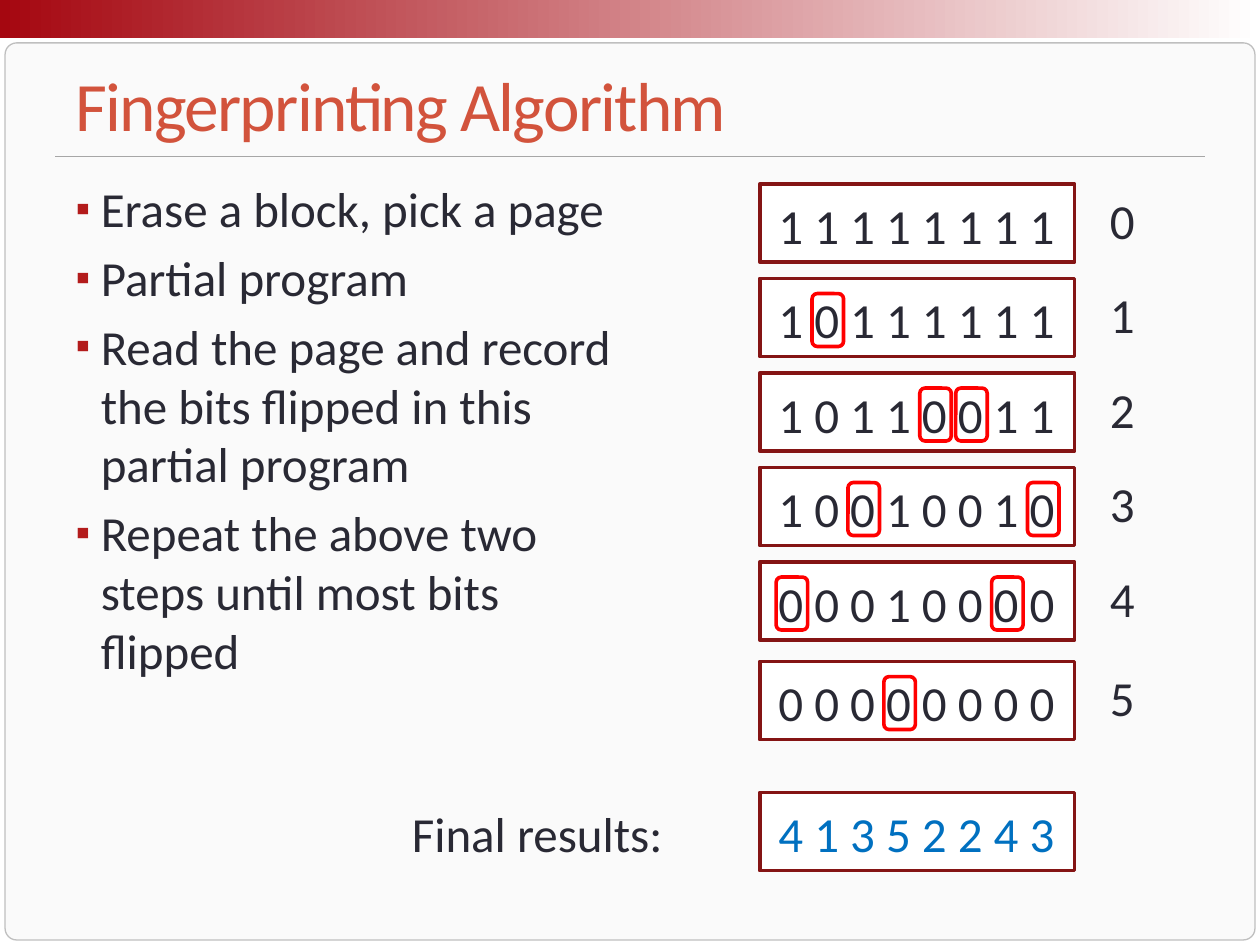
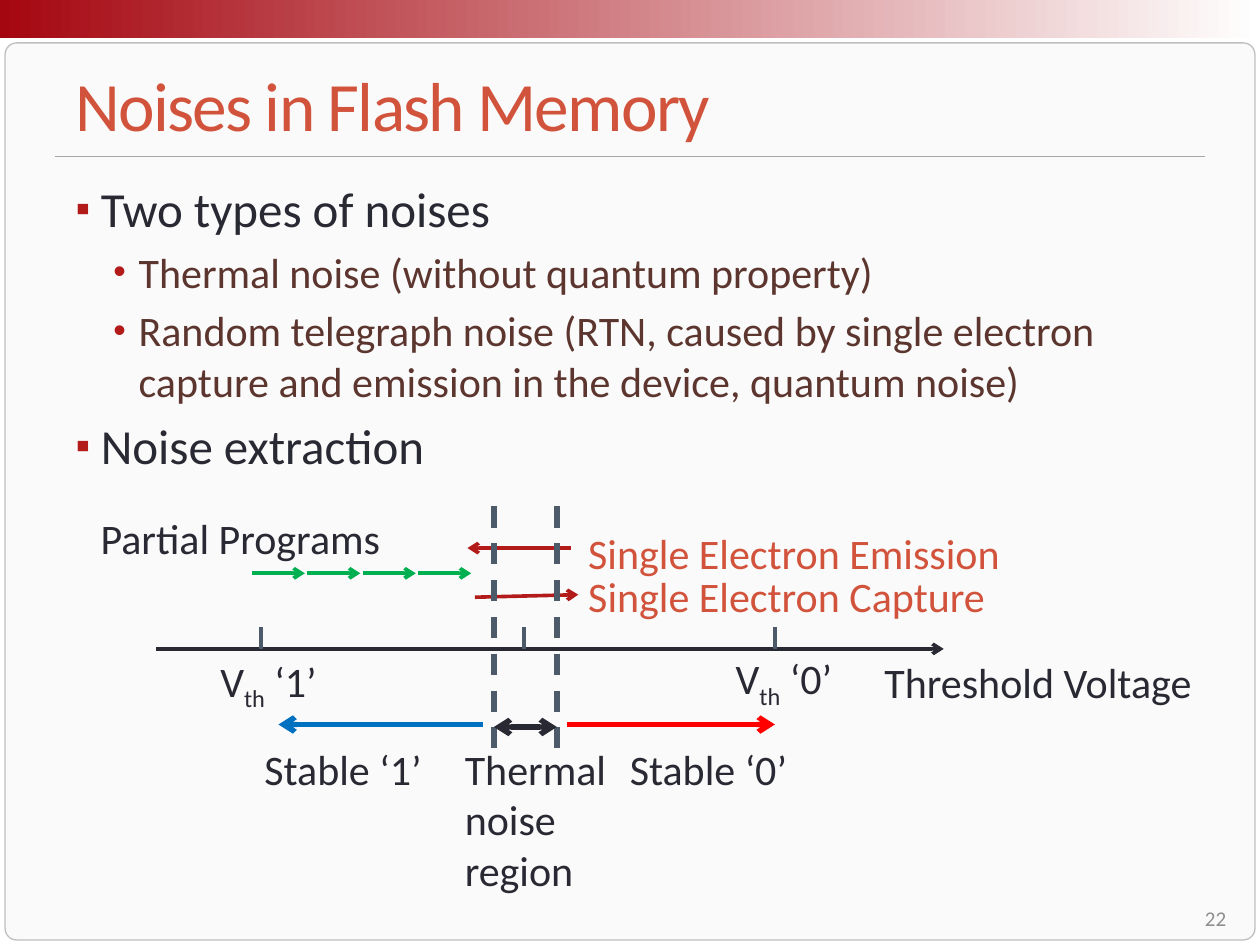
from lxml.etree import SubElement
from pptx import Presentation
from pptx.dml.color import RGBColor
from pptx.enum.dml import MSO_LINE_DASH_STYLE as Dash
from pptx.enum.shapes import MSO_CONNECTOR, MSO_SHAPE as Shape
from pptx.enum.text import MSO_ANCHOR as Anchor, MSO_AUTO_SIZE as AutoSize, PP_ALIGN as Align
from pptx.oxml.ns import qn
from pptx.util import Emu, Inches, Pt

FONT = "Calibri"
INK = RGBColor(0x29, 0x29, 0x34)
BROWN = RGBColor(0x5B, 0x35, 0x2E)
ORANGE = RGBColor(0xD2, 0x53, 0x3C)
CRIMSON = RGBColor(0xB3, 0x1B, 0x1B)
BAND_RED = RGBColor(0xA5, 0x07, 0x10)
MAROON = RGBColor(0x84, 0x14, 0x14)
RED = RGBColor(0xFF, 0x00, 0x00)
GREEN = RGBColor(0x00, 0xB0, 0x50)
BLUE = RGBColor(0x00, 0x70, 0xC0)
SLATE = RGBColor(0x4C, 0x5A, 0x6A)
WHITE = RGBColor(0xFF, 0xFF, 0xFF)
PAPER = RGBColor(0xFA, 0xFA, 0xFA)
EDGE = RGBColor(0xBF, 0xBF, 0xBF)
RULE = RGBColor(0xA6, 0xA6, 0xA6)
PAGE_GRAY = RGBColor(0x8E, 0x8E, 0x90)

THIN, MEDIUM, THICK = 0.75, 2.08, 3
# Bullet sign, left margin, text size and colour of each list level
LEVELS = [("▪", 0.2, 28, INK), ("•", 0.5, 24, BROWN)]

# The step at which each bit of the page flips from 1 to 0
FLIP_STEPS = [4, 1, 3, 5, 2, 2, 4, 3]
ROW_LEFT, ROW_WIDTH, ROW_HEIGHT = 6.03, 2.5, 0.62
STEP_TOPS = [1.46 + 0.75 * step for step in range(5)] + [5.25]
RESULT_TOP = 6.29
BIT_PITCH = 0.285

AXIS_Y = 5.15
STABLE_Y = 5.75
NOISE_LEFT, NOISE_RIGHT = 3.92, 4.42


def place(shape, left, top, width, height):
    shape.left, shape.top = Inches(left), Inches(top)
    shape.width, shape.height = Inches(width), Inches(height)


def style_text(para, size, color):
    font = para.font
    font.name, font.size, font.color.rgb = FONT, Pt(size), color


def add_box(page, kind, area, fill=None, line=None, weight=MEDIUM):
    box = page.shapes.add_shape(kind, *map(Inches, area))
    box.shadow.inherit = False
    if fill is None:
        box.fill.background()
    else:
        box.fill.solid()
        box.fill.fore_color.rgb = fill
    if line is None:
        box.line.fill.background()
    else:
        box.line.color.rgb, box.line.width = line, Pt(weight)
    return box


def add_label(page, text, area, size=24, color=INK):
    box = page.shapes.add_textbox(*map(Inches, area))
    box.text_frame.word_wrap = True
    para = box.text_frame.paragraphs[0]
    para.text = text
    style_text(para, size, color)
    return box


def add_line(page, start, end, color, weight=MEDIUM, arrows=(), dash=None):
    """Draw a straight line; arrows names the ends (headEnd, tailEnd) that get a head."""
    line = page.shapes.add_connector(MSO_CONNECTOR.STRAIGHT, *map(Inches, (*start, *end)))
    line.line.color.rgb, line.line.width = color, Pt(weight)
    if dash:
        line.line.dash_style = dash
    properties = line._element.spPr
    for arrow in arrows:
        SubElement(properties.find(qn("a:ln")), qn(f"a:{arrow}"), type="arrow")
    SubElement(properties, qn("a:effectLst"))
    return line


def move_frame_to_master(deck, page):
    """Draw the panel, the band and the title rule once, behind every slide."""
    panel = add_box(page, Shape.ROUNDED_RECTANGLE, (0.04, 0.34, 9.92, 7.12), PAPER, EDGE, THIN)
    panel.adjustments[0] = 0.013
    band = add_box(page, Shape.RECTANGLE, (0, 0, 10, 0.3))
    band.fill.gradient()
    band.fill.gradient_angle = 0
    for stop, color in zip(band.fill.gradient_stops, (BAND_RED, WHITE)):
        stop.color.rgb = color
    rule = add_line(page, (0.44, 1.24), (9.56, 1.24), RULE, THIN)
    tree = deck.slide_master.shapes._spTree
    for position, shape in enumerate((panel, band, rule)):
        shape._element.xpath(".//p:cNvPr")[0].set("id", str(100 + position))
        tree.insert(2 + position, shape._element)


def set_title(page, text):
    title = page.shapes.title
    place(title, 0.5, 0.42, 9, 0.8)
    frame = title.text_frame
    frame.text = text
    frame.vertical_anchor, frame.auto_size = Anchor.MIDDLE, AutoSize.NONE
    para = frame.paragraphs[0]
    para.alignment = Align.LEFT
    style_text(para, 39.6, ORANGE)
    para.runs[0].font._element.set("spc", "-100")


def add_bullet(para, sign, margin):
    properties = para._p.get_or_add_pPr()
    properties.set("marL", str(Inches(margin)))
    properties.set("indent", str(-Inches(0.2)))
    color = SubElement(properties, qn("a:buClr"))
    SubElement(color, qn("a:srgbClr"), val=str(CRIMSON))
    SubElement(properties, qn("a:buSzPct"), val="85000")
    SubElement(properties, qn("a:buFont"), typeface="Arial")
    SubElement(properties, qn("a:buChar"), char=sign)


def set_list(page, items, width):
    """Fill the body placeholder with (level, text) items."""
    body = page.placeholders[1]
    place(body, 0.5, 1.37, width, 5.71)
    frame = body.text_frame
    frame.auto_size = AutoSize.NONE
    for number, (level, text) in enumerate(items):
        para = frame.add_paragraph() if number else frame.paragraphs[0]
        sign, margin, size, color = LEVELS[level]
        para.text, para.level = text, level
        add_bullet(para, sign, margin)
        para.space_before = Pt(0.2 * size if number else 0)
        style_text(para, size, color)


def add_bit_row(page, values, top, color=INK):
    add_box(page, Shape.RECTANGLE, (ROW_LEFT, top, ROW_WIDTH, ROW_HEIGHT), WHITE, MAROON)
    add_label(page, " ".join(map(str, values)), (ROW_LEFT + 0.05, top + 0.04, 2.42, 0.57), 28, color)


def add_step(page, step, top):
    """Show the page after a partial program, with the newly flipped bits marked."""
    add_bit_row(page, [int(flip > step) for flip in FLIP_STEPS], top)
    add_label(page, str(step), (8.71, top, 0.79, 0.57), 28)
    for column, flip in enumerate(FLIP_STEPS):
        if flip == step:
            left = ROW_LEFT + 0.13 + BIT_PITCH * column
            add_box(page, Shape.ROUNDED_RECTANGLE, (left, top + 0.12, 0.25, 0.42), line=RED)


def add_threshold(page, left, top, value):
    box = add_label(page, "V", (left, top, 1, 0.5))
    para = box.text_frame.paragraphs[0]
    for text in ("th", f" ‘{value}’"):
        para.add_run().text = text
    para.runs[1].font._element.set("baseline", "-25000")


def fill_fingerprinting(page):
    set_title(page, "Fingerprinting Algorithm")
    set_list(page, [
        (0, "Erase a block, pick a page"),
        (0, "Partial program"),
        (0, "Read the page and record the bits flipped in this partial program"),
        (0, "Repeat the above two steps until most bits flipped"),
    ], 4.58)
    for step, top in enumerate(STEP_TOPS):
        add_step(page, step, top)
    add_bit_row(page, FLIP_STEPS, RESULT_TOP, BLUE)
    add_label(page, "Final results:", (3.17, RESULT_TOP + 0.04, 2.42, 0.57), 28)


def draw_noise_diagram(page):
    forward, both = ("tailEnd",), ("headEnd", "tailEnd")
    add_line(page, (1.24, AXIS_Y), (7.49, AXIS_Y), INK, arrows=forward)
    for x in (2.07, 4.16, 6.15):
        add_line(page, (x, AXIS_Y), (x, AXIS_Y - 0.17), SLATE)
    for program in range(4):
        left = 2 + 0.44 * program
        add_line(page, (left, 4.55), (left + 0.42, 4.55), GREEN, arrows=forward)
    add_line(page, (4.53, 4.35), (3.71, 4.35), CRIMSON, arrows=forward)
    add_line(page, (3.77, 4.74), (4.59, 4.72), CRIMSON, arrows=forward)
    for x in (NOISE_LEFT, NOISE_RIGHT):
        add_line(page, (x, 4.02), (x, 5.94), SLATE, THICK, dash=Dash.DASH)
    add_line(page, (3.83, STABLE_Y), (2.21, STABLE_Y), BLUE, THICK, forward)
    add_line(page, (4.5, STABLE_Y), (6.15, STABLE_Y), RED, THICK, forward)
    add_line(page, (NOISE_LEFT, 5.77), (NOISE_RIGHT, 5.77), INK, THICK, both)

    add_threshold(page, 1.65, 5.15, 1)
    add_threshold(page, 5.74, 5.13, 0)
    add_label(page, "Single Electron Emission", (4.57, 4.14, 4.04, 0.5), color=ORANGE)
    add_label(page, "Single Electron Capture", (4.57, 4.48, 4.51, 0.5), color=ORANGE)
    add_label(page, "Threshold Voltage", (6.92, 5.16, 2.91, 0.5))
    add_label(page, "Partial Programs", (0.7, 4.02, 2.64, 0.5))
    add_label(page, "Stable ‘1’", (2, 5.85, 1.68, 0.5))
    add_label(page, "Stable ‘0’", (4.9, 5.85, 1.68, 0.5))
    add_label(page, "Thermal noise region", (3.59, 5.85, 1.49, 1.31))


def fill_noises(page):
    set_title(page, "Noises in Flash Memory")
    set_list(page, [
        (0, "Two types of noises"),
        (1, "Thermal noise (without quantum property)"),
        (1, "Random telegraph noise (RTN, caused by single electron capture and "
            "emission in the device, quantum noise)"),
        (0, "Noise extraction"),
    ], 9)
    draw_noise_diagram(page)
    number = add_label(page, "22", (7.5, 7.17, 2.33, 0.23), 12, PAGE_GRAY)
    frame = number.text_frame
    frame.vertical_anchor = Anchor.MIDDLE
    frame.margin_top = frame.margin_bottom = Emu(0)
    frame.paragraphs[0].alignment = Align.RIGHT


def main():
    deck = Presentation()
    deck.slide_width, deck.slide_height = Inches(10), Inches(7.5)
    layout = deck.slide_layouts[1]
    first, second = (deck.slides.add_slide(layout) for _ in range(2))
    move_frame_to_master(deck, first)
    fill_fingerprinting(first)
    fill_noises(second)
    deck.save("out.pptx")


if __name__ == "__main__":
    main()
